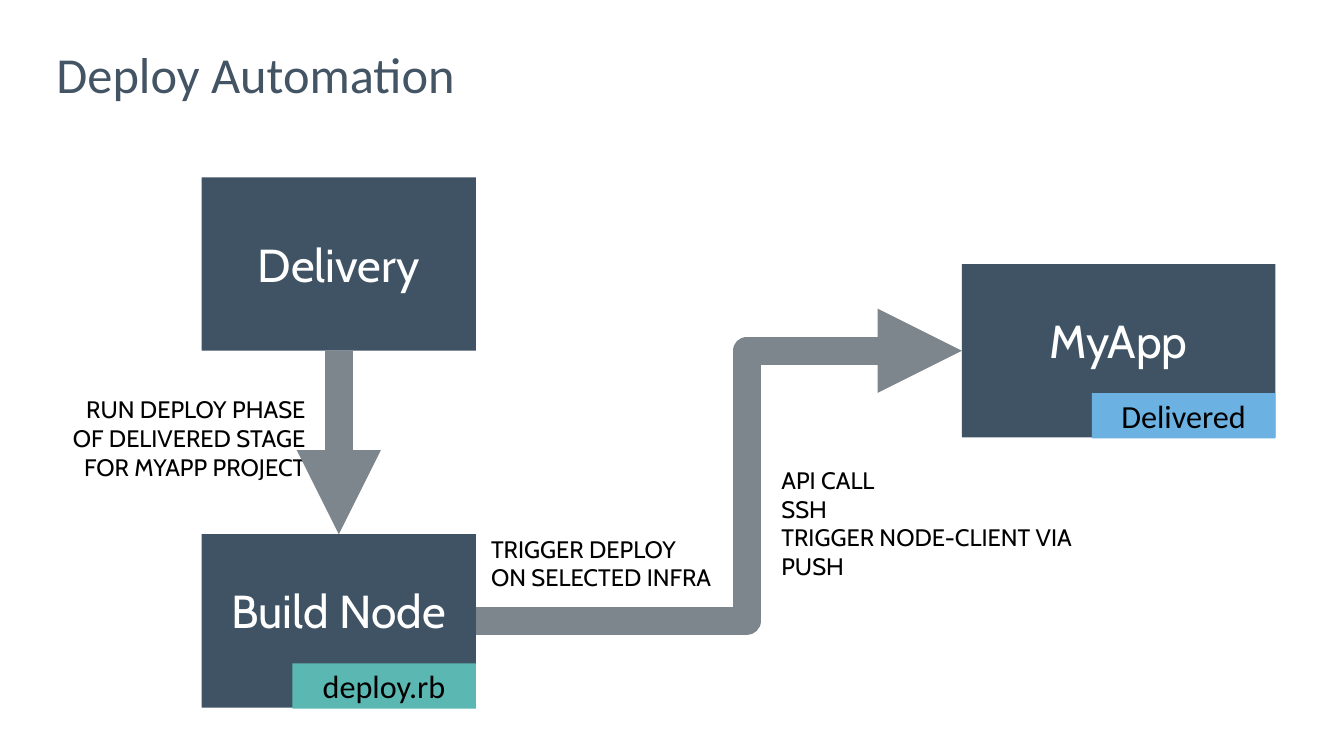
from lxml import etree
from pptx import Presentation
from pptx.dml.color import RGBColor
from pptx.enum.shapes import MSO_CONNECTOR as CONNECTOR, MSO_SHAPE as SHAPE
from pptx.enum.text import MSO_ANCHOR as ANCHOR, PP_ALIGN as ALIGN
from pptx.oxml.ns import qn
from pptx.util import Inches, Pt

SLATE = RGBColor(0x3F, 0x53, 0x64)
TITLE_SLATE = RGBColor(0x43, 0x54, 0x64)
GRAY = RGBColor(0x7D, 0x86, 0x8C)
TEAL = RGBColor(0x5A, 0xB7, 0xB2)
BLUE = RGBColor(0x6B, 0xB2, 0xE2)
WHITE = RGBColor(0xFF, 0xFF, 0xFF)
BLACK = RGBColor(0x00, 0x00, 0x00)

NODE_FONT = {"name": "Cabin", "size": Pt(33), "color": WHITE}
TAG_FONT = {"name": "Calibri", "size": Pt(23), "color": BLACK}
LABEL_FONT = {"name": "Cabin", "size": Pt(17), "color": BLACK}
TITLE_FONT = {"name": "Calibri", "size": Pt(36), "color": TITLE_SLATE}

NONE = (0, 0, 0, 0)
NORMAL = (0.08, 0.04, 0.08, 0.04)
RAISED = (0.08, 0.04, 0.08, 0.25)


def write_text(shape, lines, font, align, anchor, margins):
    frame = shape.text_frame
    sides = ("margin_left", "margin_top", "margin_right", "margin_bottom")
    settings = {side: Inches(margin) for side, margin in zip(sides, margins)}
    settings.update(word_wrap=True, vertical_anchor=anchor)
    for name, value in settings.items():
        setattr(frame, name, value)
    frame.text = "\n".join(lines)
    for paragraph in frame.paragraphs:
        paragraph.alignment = align
        run_font = paragraph.runs[0].font
        for name, value in font.items():
            if name == "color":
                run_font.color.rgb = value
            else:
                setattr(run_font, name, value)


def add_arrow(kind, begin, end):
    points = [Inches(value) for value in begin + end]
    arrow = slide.shapes.add_connector(kind, *points)
    arrow.line.color.rgb = GRAY
    arrow.line.width = Pt(20)
    line = arrow.line._get_or_add_ln()
    etree.SubElement(line, qn("a:tailEnd"), type="triangle")
    etree.SubElement(arrow._element.spPr, qn("a:effectLst"))
    return arrow


presentation = Presentation()
presentation.slide_width = Inches(13.33)
presentation.slide_height = Inches(7.5)
slide = presentation.slides.add_slide(presentation.slide_layouts[6])

labels = [
    (0.56, 0.5, 12.22, 0.56, ["Deploy Automation"], TITLE_FONT, ALIGN.LEFT, NONE),
    (4.87, 5.3, 2.21, 0.56, ["TRIGGER DEPLOY", "ON SELECTED INFRA"],
     LABEL_FONT, ALIGN.LEFT, NONE),
    (0.56, 3.88, 2.55, 0.93, ["RUN DEPLOY PHASE OF DELIVERED STAGE FOR MYAPP PROJECT"],
     LABEL_FONT, ALIGN.RIGHT, NORMAL),
    (7.75, 4.62, 3.44, 0.84, ["API CALL", "SSH", "TRIGGER NODE-CLIENT VIA PUSH"],
     LABEL_FONT, ALIGN.LEFT, NONE),
]
for left, top, width, height, lines, font, align, margins in labels:
    box = slide.shapes.add_textbox(*map(Inches, (left, top, width, height)))
    write_text(box, lines, font, align, ANCHOR.TOP, margins)
    if font is TITLE_FONT:
        box.text_frame.paragraphs[0].line_spacing = 0.9

bent_arrow = add_arrow(CONNECTOR.ELBOW, (4.71, 6.16), (9.54, 3.48))
bend = bent_arrow._element.spPr.find(qn("a:prstGeom")).get_or_add_avLst()
etree.SubElement(bend, qn("a:gd"), name="adj1", fmla="val 55800")
add_arrow(CONNECTOR.STRAIGHT, (3.36, 3.48), (3.36, 5.3))

blocks = [
    (2, 1.76, 2.72, 1.72, "Delivery", SLATE, NODE_FONT, NORMAL),
    (2, 5.3, 2.72, 1.72, "Build Node", SLATE, NODE_FONT, RAISED),
    (2.9, 6.58, 1.82, 0.45, "deploy.rb", TEAL, TAG_FONT, NORMAL),
    (9.54, 2.62, 3.11, 1.72, "MyApp", SLATE, NODE_FONT, RAISED),
    (10.83, 3.9, 1.82, 0.45, "Delivered", BLUE, TAG_FONT, NORMAL),
]
for left, top, width, height, name, color, font, margins in blocks:
    block = slide.shapes.add_shape(SHAPE.RECTANGLE, *map(Inches, (left, top, width, height)))
    block.shadow.inherit = False
    block.fill.solid()
    block.fill.fore_color.rgb = color
    block.line.fill.background()
    write_text(block, [name], font, ALIGN.CENTER, ANCHOR.MIDDLE, margins)

presentation.save("out.pptx")
